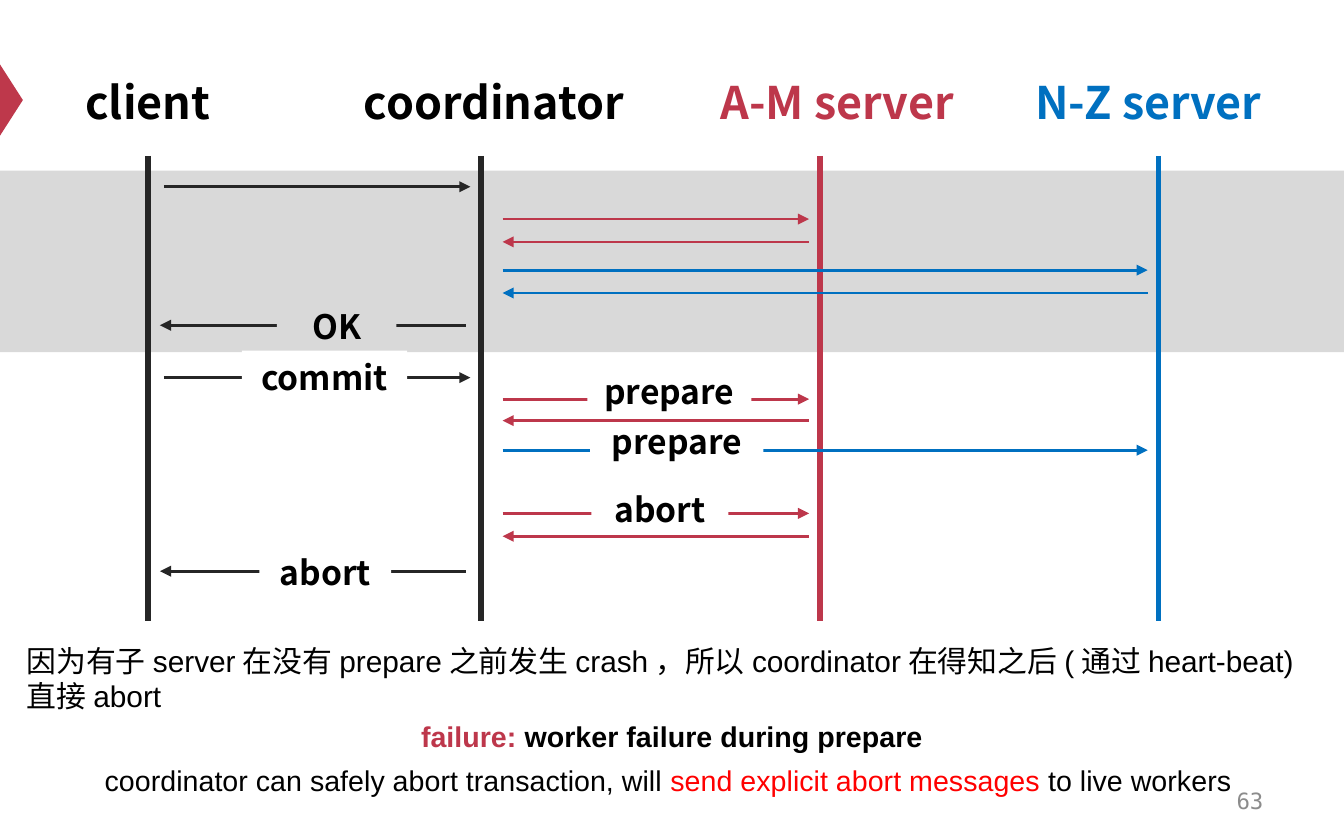
"""Build a sequence diagram slide of a two-phase commit with a worker failure."""
from typing import NamedTuple, Optional

from pptx import Presentation
from pptx.dml.color import RGBColor
from pptx.enum.shapes import MSO_CONNECTOR as CONN, MSO_SHAPE as SHAPE
from pptx.enum.text import MSO_ANCHOR as ANCHOR, MSO_AUTO_SIZE as FIT, PP_ALIGN as ALIGN
from pptx.oxml.ns import qn
from pptx.util import Inches, Pt

COLORS = {"black": "000000", "dark": "262626", "red": "BD374B", "blue": "0070C0",
          "band": "D9D9D9", "white": "FFFFFF", "marker": "BE384B",
          "alert": "FF0000", "number": "8C8C8C"}
HEAD_FONT, BODY_FONT, NUMBER_FONT = "Noto Sans CJK SC", "Arial", "DejaVu Sans Mono"
LIFE_TOP, LIFE_END = 1.16, 4.62
HEAD_TOP, HEAD_HEIGHT, LABEL_HEIGHT = 0.51, 0.5, 0.4
SPANS = {"request": (1.22, 3.5), "answer": (1.19, 3.47),
         "A-M": (3.74, 6.02), "N-Z": (3.74, 8.54)}


class Actor(NamedTuple):
    name: str
    x: float
    left: float
    width: float
    line: str
    text: str


class Label(NamedTuple):
    text: str
    left: float
    top: float
    width: float
    fill: str = "white"


class Message(NamedTuple):
    span: str
    y: float
    color: str
    reply: bool = False
    label: Optional[Label] = None


ACTORS = [
    Actor("client", 1.1, 0.51, 1.18, "dark", "black"),
    Actor("coordinator", 3.58, 2.56, 2.23, "dark", "black"),
    Actor("A-M server", 6.1, 5.08, 2.3, "red", "red"),
    Actor("N-Z server", 8.62, 7.52, 2.05, "blue", "blue"),
]
MESSAGES = [
    Message("request", 1.39, "dark"),
    Message("A-M", 1.63, "red"),
    Message("A-M", 1.8, "red", True),
    Message("N-Z", 2.01, "blue"),
    Message("N-Z", 2.18, "blue", True),
    Message("answer", 2.42, "dark", True, Label("OK", 2.06, 2.23, 0.89, "band")),
    Message("request", 2.81, "dark", False, Label("commit", 1.8, 2.61, 1.23)),
    Message("A-M", 2.97, "red", False, Label("prepare", 4.37, 2.71, 1.22)),
    Message("N-Z", 3.35, "blue", False, Label("prepare", 4.39, 3.08, 1.29)),
    Message("A-M", 3.13, "red", True),
    Message("A-M", 3.82, "red", False, Label("abort", 4.4, 3.59, 1.02)),
    Message("A-M", 3.99, "red", True),
    Message("answer", 4.25, "dark", True, Label("abort", 1.93, 4.06, 0.98)),
]
SUMMARY = [
    [("failure: ", "red", True), ("worker failure during prepare", "black", True)],
    [("coordinator can safely abort transaction, will ", "black", False),
     ("send explicit abort messages", "alert", False),
     (" to live workers ", "black", False)],
]
NOTE = "因为有子server在没有prepare之前发生crash，所以coordinator在得知之后(通过heart-beat)直接abort"


def rgb(color: str) -> RGBColor:
    """Return a palette colour."""
    return RGBColor.from_string(COLORS[color])


def add_run(p, text: str, color: str, **formats) -> None:
    """Add a run with font attributes taken from the format values."""
    r = p.add_run()
    r.text = text
    r.font.color.rgb = rgb(color)
    for key, value in formats.items():
        setattr(r.font, key, value)


def set_text(sp, text: str, color: str, align=ALIGN.CENTER, anchor=ANCHOR.TOP,
             fit=FIT.SHAPE_TO_FIT_TEXT, **formats) -> None:
    """Fill a shape with one formatted paragraph."""
    tf = sp.text_frame
    for key, value in {"word_wrap": True, "auto_size": fit, "vertical_anchor": anchor}.items():
        setattr(tf, key, value)
    p = tf.paragraphs[0]
    p.alignment = align
    add_run(p, text, color, **formats)


def add_textbox(s, box: tuple, text: str, color: str, **formats) -> None:
    """Add a text box."""
    set_text(s.shapes.add_textbox(*map(Inches, box)), text, color, **formats)


def add_block(s, kind, box: tuple, fill: str):
    """Add a plain filled shape without outline."""
    sp = s.shapes.add_shape(kind, *map(Inches, box))
    sp.shadow.inherit = False
    sp.fill.solid()
    sp.fill.fore_color.rgb = rgb(fill)
    sp.line.fill.background()
    return sp


def add_line(s, start: tuple, end: tuple, color: str, width: float, arrow: str = "") -> None:
    """Add a straight line, with an arrowhead at headEnd or tailEnd if named."""
    sp = s.shapes.add_connector(CONN.STRAIGHT, *map(Inches, start + end))
    sp.line.color.rgb = rgb(color)
    sp.line.width = Pt(width)
    if arrow:
        ln = sp.line._get_or_add_ln()
        ln.append(ln.makeelement(qn(f"a:{arrow}"), {"type": "triangle"}))
    props = sp._element.spPr
    props.append(props.makeelement(qn("a:effectLst"), {}))


def add_actor(s, actor: Actor) -> None:
    """Draw an actor's name and lifeline."""
    add_textbox(s, (actor.left, HEAD_TOP, actor.width, HEAD_HEIGHT), actor.name, actor.text,
                name=HEAD_FONT, size=Pt(24), bold=True)
    add_line(s, (actor.x, LIFE_TOP), (actor.x, LIFE_END), actor.line, 3)


def add_message(s, message: Message) -> None:
    """Draw a message arrow and its label."""
    start, end = SPANS[message.span]
    add_line(s, (start, message.y), (end, message.y), message.color, 1.5,
             "headEnd" if message.reply else "tailEnd")
    label = message.label
    if label:
        sp = add_block(s, SHAPE.RECTANGLE,
                       (label.left, label.top, label.width, LABEL_HEIGHT), label.fill)
        set_text(sp, label.text, "black", name=HEAD_FONT, size=Pt(18), bold=True)


def fill_summary(sp) -> None:
    """Move the body placeholder and write the summary without bullets."""
    box = {"left": 0.5, "top": 5.22, "width": 9, "height": 0.84}
    for key, value in box.items():
        setattr(sp, key, Inches(value))
    tf = sp.text_frame
    tf.auto_size = FIT.NONE
    for i, parts in enumerate(SUMMARY):
        p = tf.add_paragraph() if i else tf.paragraphs[0]
        props = p._p.get_or_add_pPr()
        props.set("marL", "0")
        props.set("indent", "0")
        props.append(props.makeelement(qn("a:buNone"), {}))
        formats = {"alignment": ALIGN.CENTER, "line_spacing": 1.3, "space_before": Pt(0)}
        for key, value in formats.items():
            setattr(p, key, value)
        for text, color, bold in parts:
            add_run(p, text, color, name=BODY_FONT, size=Pt(15.3), bold=bold)


def main() -> None:
    """Build and save the slide."""
    prs = Presentation()
    prs.slide_width, prs.slide_height = Inches(10), Inches(6.25)
    s = prs.slides.add_slide(prs.slide_layouts[1])
    title = s.shapes.title._element
    title.getparent().remove(title)
    fill_summary(s.placeholders[1])
    add_block(s, SHAPE.ISOSCELES_TRIANGLE, (-0.18, 0.66, 0.53, 0.17), "marker").rotation = 90
    add_textbox(s, (7.17, 5.79, 2.33, 0.33), "63", "number", align=ALIGN.RIGHT,
                anchor=ANCHOR.MIDDLE, fit=FIT.NONE, name=NUMBER_FONT, size=Pt(12))
    add_block(s, SHAPE.RECTANGLE, (0, 1.27, 10, 1.35), "band")
    for actor in ACTORS:
        add_actor(s, actor)
    for message in MESSAGES:
        add_message(s, message)
    add_textbox(s, (0.1, 4.73, 9.77, 0.8), NOTE, "black", align=ALIGN.LEFT,
                fit=FIT.NONE, name=BODY_FONT, size=Pt(16))
    prs.save("out.pptx")


if __name__ == "__main__":
    main()
